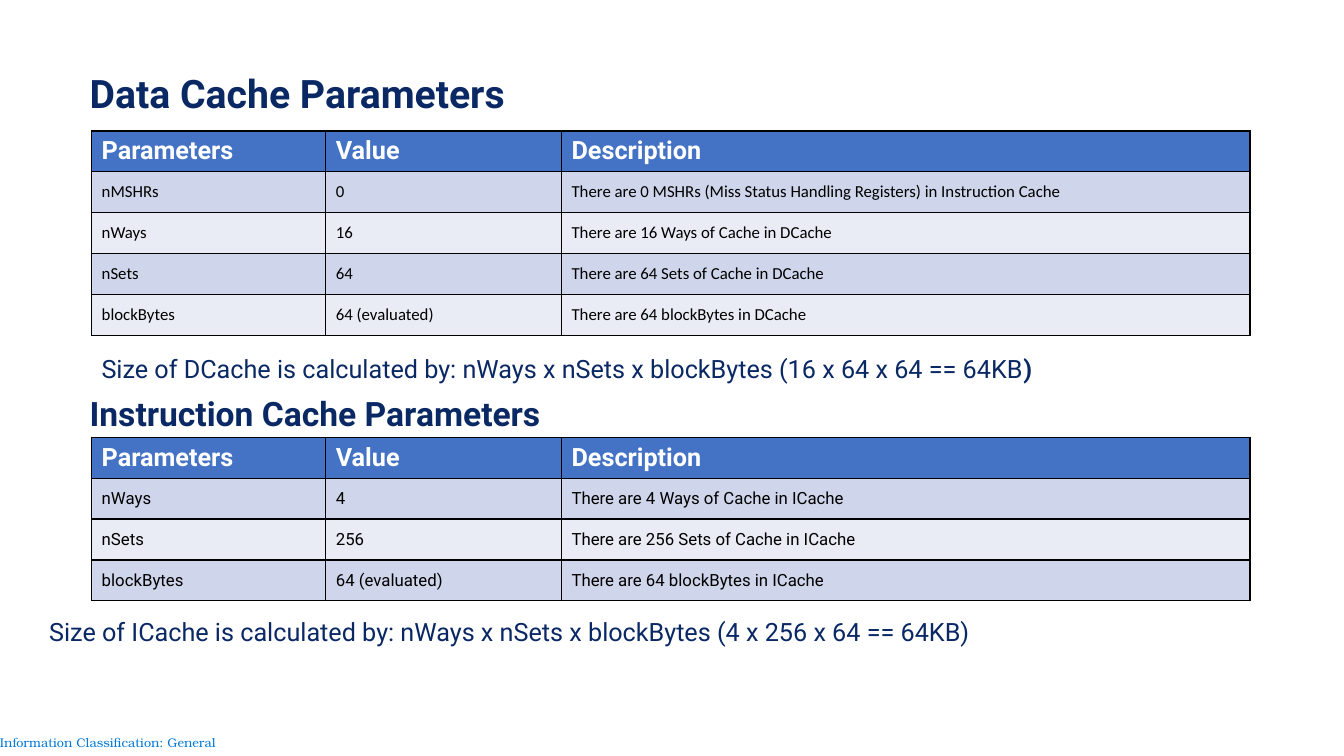
from lxml import etree
from pptx import Presentation
from pptx.dml.color import RGBColor
from pptx.enum.text import MSO_ANCHOR, PP_ALIGN
from pptx.oxml.ns import qn
from pptx.util import Cm, Pt

MIDDLE = MSO_ANCHOR.MIDDLE
LEFT, CENTER = PP_ALIGN.LEFT, PP_ALIGN.CENTER

HEADINGS = ("Parameters", "Value", "Description")
DATA_CACHE = [
    ("nMSHRs", "0", "There are 0 MSHRs (Miss Status Handling Registers) in Instruction Cache"),
    ("nWays", "16", "There are 16 Ways of Cache in DCache"),
    ("nSets", "64", "There are 64 Sets of Cache in DCache"),
    ("blockBytes", "64 (evaluated)", "There are 64 blockBytes in DCache"),
]
INSTRUCTION_CACHE = [
    ("nWays", "4", "There are 4 Ways of Cache in ICache"),
    ("nSets", "256", "There are 256 Sets of Cache in ICache"),
    ("blockBytes", "64 (evaluated)", "There are 64 blockBytes in ICache"),
]


def color(hex_value):
    return RGBColor.from_string(hex_value)


class CacheSlide:
    FONT = "Roboto"
    NAVY, BLACK, WHITE = "092864", "000000", "FFFFFF"
    HEADER_FILL = "4472C4"
    BAND_FILLS = ("CFD5EA", "E9EBF5")
    COLUMN_WIDTHS = (5.9, 5.94, 17.35)
    ROW_HEIGHT = 1.03

    def __init__(self, presentation):
        self.slide = presentation.slides.add_slide(presentation.slide_layouts[6])

    def style(self, run, size, hex_value, bold=False, font=FONT):
        run.font.name = font
        run.font.size = Pt(size)
        run.font.bold = bold
        run.font.color.rgb = color(hex_value)

    def text_box(self, left, top, width, height, align, spacing):
        box = self.slide.shapes.add_textbox(Cm(left), Cm(top), Cm(width), Cm(height))
        frame = box.text_frame
        frame.word_wrap = True
        frame.vertical_anchor = MIDDLE
        paragraph = frame.paragraphs[0]
        paragraph.alignment = align
        paragraph.line_spacing = spacing
        return frame

    def heading(self, text, top, width, height, size):
        frame = self.text_box(2.01, top, width, height, LEFT, 0.9)
        frame.text = text
        self.style(frame.paragraphs[0].runs[0], size, self.NAVY, bold=True)

    def size_formula(self, text, left, top, width, height, bold_end=""):
        frame = self.text_box(left, top, width, height, CENTER, 0.9)
        frame.text = text
        paragraph = frame.paragraphs[0]
        self.style(paragraph.runs[0], 18, self.NAVY)
        if bold_end:
            ending = paragraph.add_run()
            ending.text = bold_end
            self.style(ending, 18, self.NAVY, bold=True)

    def classification(self, text):
        frame = self.text_box(0, 18.39, 5.92, 0.66, CENTER, 1.0)
        frame.margin_left = frame.margin_right = 0
        frame.margin_top = frame.margin_bottom = 0
        frame.text = text
        self.style(frame.paragraphs[0].runs[0], 9, "0078D7", font="TeX Gyre Bonum")

    def cell_borders(self, cell):
        properties = cell._tc.get_or_add_tcPr()
        for position, side in enumerate(("a:lnL", "a:lnR", "a:lnT", "a:lnB")):
            line = etree.Element(qn(side), w=str(Pt(1)))
            fill = etree.SubElement(line, qn("a:solidFill"))
            etree.SubElement(fill, qn("a:srgbClr"), val=self.BLACK)
            properties.insert(position, line)

    def parameter_table(self, records, top, body_font=FONT):
        rows = [HEADINGS, *records]
        table = self.slide.shapes.add_table(
            len(rows), len(HEADINGS), Cm(2.31), Cm(top),
            Cm(sum(self.COLUMN_WIDTHS)), Cm(self.ROW_HEIGHT * len(rows))).table
        for column, width in zip(table.columns, self.COLUMN_WIDTHS):
            column.width = Cm(width)
        for row_number, values in enumerate(rows):
            table.rows[row_number].height = Cm(self.ROW_HEIGHT)
            is_header = row_number == 0
            fill = self.HEADER_FILL if is_header else self.BAND_FILLS[(row_number - 1) % 2]
            for column_number, value in enumerate(values):
                cell = table.cell(row_number, column_number)
                cell.text = value
                cell.vertical_anchor = MIDDLE
                cell.fill.solid()
                cell.fill.fore_color.rgb = color(fill)
                self.cell_borders(cell)
                run = cell.text_frame.paragraphs[0].runs[0]
                if is_header:
                    self.style(run, 18, self.WHITE, bold=True)
                else:
                    self.style(run, 12, self.BLACK, font=body_font)


def main():
    presentation = Presentation()
    presentation.slide_width = Cm(33.87)
    presentation.slide_height = Cm(19.05)

    page = CacheSlide(presentation)
    page.classification("Information Classification: General")
    page.heading("Data Cache Parameters", 1.73, 17.5, 1.24, 28)
    page.parameter_table(DATA_CACHE, 3.3, body_font="Calibri")
    page.heading("Instruction Cache Parameters", 9.75, 29.2, 1.3, 24)
    page.parameter_table(INSTRUCTION_CACHE, 11.02)
    page.size_formula(
        "Size of DCache is calculated by: nWays x nSets x blockBytes (16 x 64 x 64 == 64KB",
        2.31, 8.79, 26.9, 0.97, bold_end=")")
    page.size_formula(
        "Size of ICache is calculated by: nWays x nSets x blockBytes (4 x 256 x 64 == 64KB)",
        0.99, 15.29, 29.2, 1.24)

    presentation.save("out.pptx")


if __name__ == "__main__":
    main()
